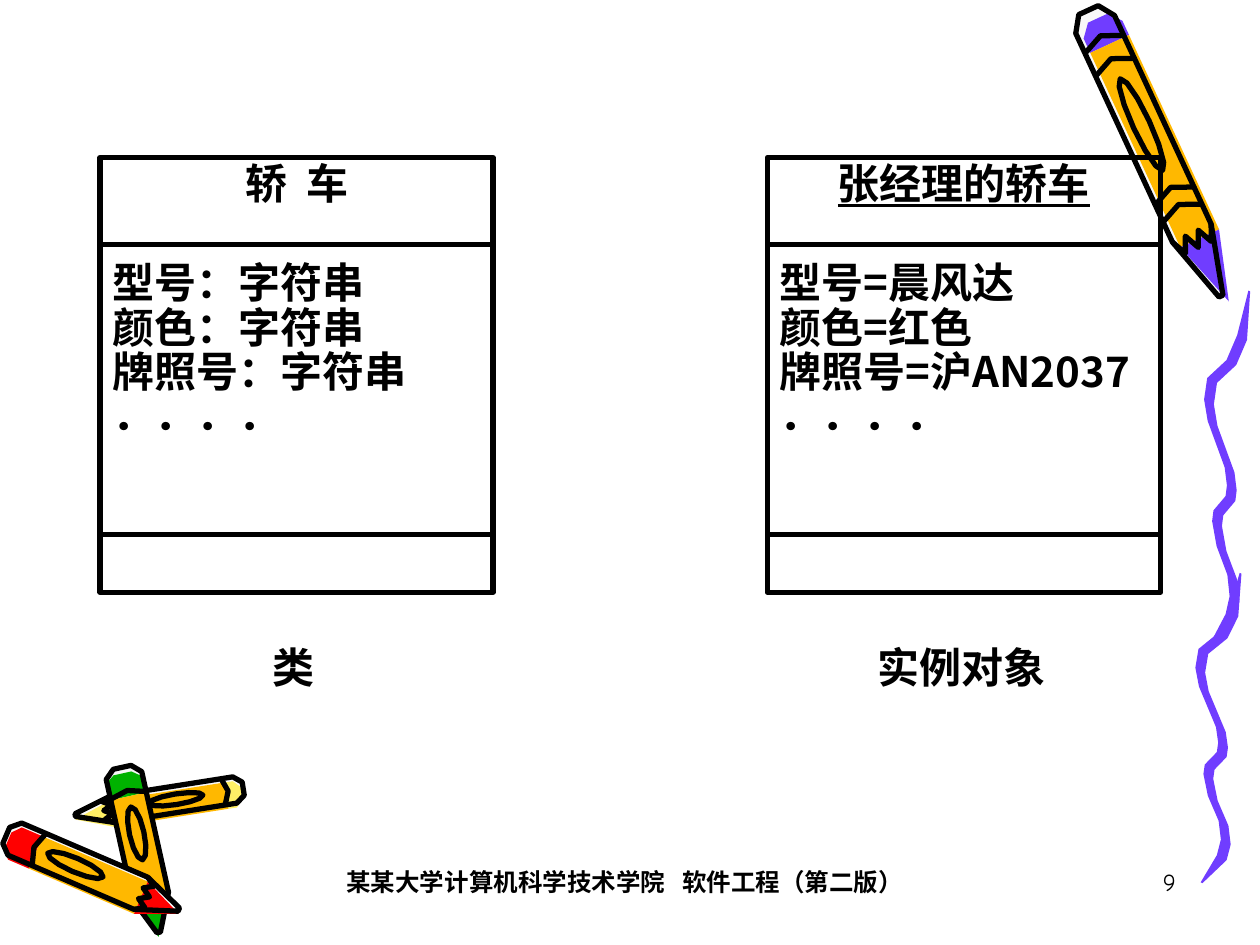
"""Builds a slide that sets a class box beside an instance box, framed by crayon art."""
import dataclasses
import math

import lxml.etree
import pptx
import pptx.dml.color
import pptx.enum.shapes
import pptx.enum.text
import pptx.oxml.ns
import pptx.util

Pt = pptx.util.Pt
ALIGN = pptx.enum.text.PP_ALIGN
ANCHOR = pptx.enum.text.MSO_ANCHOR


@dataclasses.dataclass(frozen=True)
class Theme:
    ink: str = "000000"
    paper: str = "F8F8F8"
    violet: str = "703DFF"
    amber: str = "FFB800"
    cream: str = "FFEF66"
    red: str = "FF0000"
    green: str = "00B200"
    cjk: str = "Noto Sans CJK SC"
    serif: str = "Times New Roman"
    comic: str = "Comic Neue"
    body: int = 24
    small: int = 14
    stroke: int = 3


@dataclasses.dataclass(frozen=True)
class Crayon:
    end: tuple
    tip: tuple
    half_width: float
    color: str
    bands: tuple
    shift: tuple = (0, 2.5)

    def place(self, profile, shift=(0, 0)):
        """Maps (share of length, share of half width) to slide points."""
        dx, dy = self.tip[0] - self.end[0], self.tip[1] - self.end[1]
        across = self.half_width / math.hypot(dx, dy)
        return [(self.end[0] + along * dx - side * across * dy + shift[0],
                 self.end[1] + along * dy + side * across * dx + shift[1]) for along, side in profile]


SHOULDER = 0.78
BIG_CRAYON = Crayon((622, 5.8), (697.7, 169.2), 12.2, "violet", (0.1, 0.18, 0.63, 0.69), (4.5, 3))
SMALL_CRAYONS = [
    Crayon((139, 450.7), (43, 465.8), 7.6, "cream", (0.1,)),
    Crayon((69.8, 438.5), (90.7, 532.8), 10.4, "green", (0.15,)),
    Crayon((3.6, 477.4), (102.2, 519.8), 10, "red", (0.17,)),
]
WAVE = [(1, 0), (0.84, 0.13), (0.6, 0.2), (0.17, 0.25), (0.1, 0.31), (0.18, 0.37), (0.56, 0.5), (0.61, 0.55),
        (0.58, 0.58), (0.31, 0.62), (0.28, 0.65), (0.38, 0.72), (0.62, 0.8), (0.67, 0.86), (0.58, 0.91), (0.13, 0.99)]


def write(p, text, *, theme, font, size, bold=True, underline=None, align=ALIGN.LEFT, before=0, spacing=None):
    """Adds a formatted run to a paragraph."""
    p.alignment = align
    p.space_before = Pt(before)
    p.line_spacing = spacing
    r = p.add_run()
    r.text = text
    r.font.name = font
    r.font.size = Pt(size)
    r.font.bold = bold
    r.font.underline = underline
    r.font.color.rgb = pptx.dml.color.RGBColor.from_string(theme.ink)
    ea = lxml.etree.SubElement(r.font._element, pptx.oxml.ns.qn("a:ea"))
    ea.set("typeface", theme.cjk)


class Canvas:
    """Draws styled elements on the current slide."""

    def __init__(self, s, theme):
        self.s = s
        self.theme = theme

    def color(self, name):
        return pptx.dml.color.RGBColor.from_string(getattr(self.theme, name))

    def outline(self, sp):
        sp.line.color.rgb = self.color("ink")
        sp.line.width = Pt(self.theme.stroke)

    def freeform(self, points, fill=None, close=True):
        """Draws a filled patch, or an ink stroke when no fill is named."""
        corners = [(Pt(x), Pt(y)) for x, y in points]
        builder = self.s.shapes.build_freeform(*corners[0])
        builder.add_line_segments(corners[1:], close=close)
        sp = builder.convert_to_shape()
        sp.shadow.inherit = False
        if fill:
            sp.fill.solid()
            sp.fill.fore_color.rgb = self.color(fill)
            sp.line.fill.background()
        else:
            sp.fill.background()
            self.outline(sp)

    def crayon(self, crayon):
        cap = crayon.bands[0]
        silhouette = [(0, -0.5), (0, 0.5), (0.05, 1), (SHOULDER, 1), (1, 0.1),
                      (1, -0.1), (SHOULDER, -1), (0.05, -1)]
        patches = [
            (crayon.color, [(0.01, -0.5), (0.01, 0.5), (0.05, 1), (cap, 1), (cap, -1), (0.05, -1)]),
            ("amber", [(cap, -1), (cap, 1), (SHOULDER, 1), (SHOULDER, -1)]),
            (crayon.color, [(SHOULDER, -1), (SHOULDER, 1), (1, 0)]),
        ]
        turns = [2 * math.pi * i / 12 for i in range(12)]
        oval = [(0.4 + 0.16 * math.cos(a), 0.4 * math.sin(a)) for a in turns]
        jagged_edge = [(SHOULDER + 0.05 * (i % 2), -1 + i / 3) for i in range(7)]

        self.freeform(crayon.place(silhouette), "paper")
        for fill, profile in patches:
            self.freeform(crayon.place(profile, crayon.shift), fill)
        for closed_stroke in (silhouette, oval):
            self.freeform(crayon.place(closed_stroke))
        bands = [[(t + 0.02, -1), (t - 0.01, 0), (t + 0.02, 1)] for t in crayon.bands]
        for open_stroke in [jagged_edge, *bands]:
            self.freeform(crayon.place(open_stroke), close=False)

    def squiggle(self, x, y, w, h, thickness=5.6):
        """Draws a ribbon along the wave, tapered at both ends."""
        last = len(WAVE) - 1
        left, right = [], []
        for i, (across, down) in enumerate(WAVE):
            half = thickness / 2 if 0 < i < last else 0.5
            left.append((x + across * w - half, y + down * h - half / 2))
            right.append((x + across * w + half, y + down * h + half / 2))
        self.freeform(left + right[::-1], "violet")

    def line(self, x1, y1, x2, y2):
        straight = pptx.enum.shapes.MSO_CONNECTOR.STRAIGHT
        sp = self.s.shapes.add_connector(straight, Pt(x1), Pt(y1), Pt(x2), Pt(y2))
        self.outline(sp)
        lxml.etree.SubElement(sp._element.spPr, pptx.oxml.ns.qn("a:effectLst"))

    def uml_box(self, x, y, w, h, dividers, heading, rows, underline=None, align=ALIGN.LEFT):
        rect = pptx.enum.shapes.MSO_SHAPE.RECTANGLE
        sp = self.s.shapes.add_shape(rect, Pt(x), Pt(y), Pt(w), Pt(h))
        sp.shadow.inherit = False
        sp.fill.background()
        self.outline(sp)
        tf = sp.text_frame
        tf.word_wrap = True
        tf.vertical_anchor = ANCHOR.TOP
        style = dict(theme=self.theme, font=self.theme.cjk, size=self.theme.body, spacing=0.88)
        write(tf.paragraphs[0], heading, underline=underline, align=ALIGN.CENTER, **style)
        for i, row in enumerate(rows):
            write(tf.add_paragraph(), row, align=align, before=0 if i else 31.6, **style)
        for offset in dividers:
            self.line(x, y + offset, x + w, y + offset)

    def label(self, x, y, w, h, text, wrap=True, anchor=ANCHOR.TOP, **style):
        tf = self.s.shapes.add_textbox(Pt(x), Pt(y), Pt(w), Pt(h)).text_frame
        tf.word_wrap = wrap
        tf.vertical_anchor = anchor
        write(tf.paragraphs[0], text, theme=self.theme, **style)


def main():
    prs = pptx.Presentation()
    prs.slide_width, prs.slide_height = Pt(720), Pt(540)
    theme = Theme()
    c = Canvas(prs.slides.add_slide(prs.slide_layouts[6]), theme)

    for crayon in SMALL_CRAYONS:
        c.crayon(crayon)
    c.squiggle(683.3, 327.6, 25.6, 178.6)
    c.squiggle(688.3, 166.3, 25.6, 204.5)
    c.crayon(BIG_CRAYON)

    box = dict(y=90, w=224.6, h=248.4, dividers=(49.7, 215.3))
    c.uml_box(57.2, heading="轿  车", align=ALIGN.JUSTIFY,
              rows=["型号：字符串", "颜色：字符串", "牌照号：字符串", "．．．．"], **box)
    c.uml_box(438.5, heading="张经理的轿车", underline=True,
              rows=["型号=晨风达", "颜色=红色", "牌照号=沪AN2037", "．．．．"], **box)

    for x, w, text in ((131.8, 72, "类"), (480.2, 138.2, "实例对象")):
        c.label(x, 360, w, 41.8, text, wrap=False, anchor=ANCHOR.MIDDLE,
                font=theme.serif, size=theme.body, align=ALIGN.CENTER)

    footer = dict(y=491.8, h=36, font=theme.comic, size=theme.small)
    c.label(144, w=426.2, text="某某大学计算机科学技术学院   软件工程（第二版）", align=ALIGN.CENTER, **footer)
    c.label(529.2, w=149.8, text="9", bold=False, align=ALIGN.RIGHT, **footer)
    prs.save("out.pptx")


if __name__ == "__main__":
    main()
